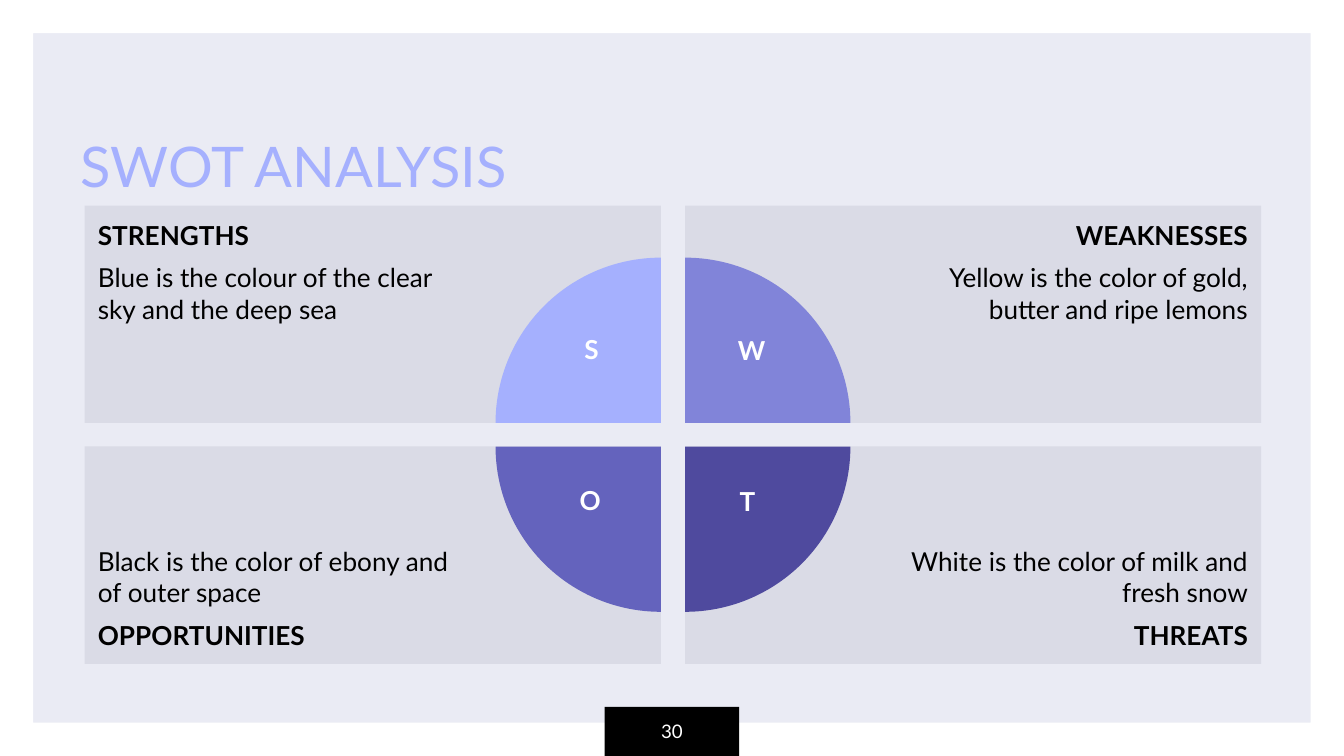
import pptx
import pptx.dml.color
import pptx.enum.shapes
import pptx.enum.text
import pptx.util

SHAPE = pptx.enum.shapes.MSO_SHAPE
ALIGN = pptx.enum.text.PP_ALIGN
ANCHOR = pptx.enum.text.MSO_ANCHOR

# Grid of square cells: 100 columns by 56.25 rows on a 16:9 page
COLUMNS, ROWS = 100, 56.25
CELL = pptx.util.Inches(10) / COLUMNS
FONT = "Lato"
INSET, WIDE_INSET = 1, 15
GAP_X, GAP_Y = 1.8, 1.75
RADIUS = 12.3

# heading, sentence, letter, letter offset from the inner corner, sector colour
QUADRANTS = [
    ("STRENGTHS", "Blue is the colour of the clear sky and the deep sea",
     "S", (-5.15, -4.85), "A5B0FE"),
    ("WEAKNESSES", "Yellow is the color of gold, butter and ripe lemons",
     "W", (4.95, -4.8), "8184D9"),
    ("OPPORTUNITIES", "Black is the color of ebony and of outer space",
     "O", (-5.25, 4.65), "6463BD"),
    ("THREATS", "White is the color of milk and fresh snow",
     "T", (4.65, 4.7), "4F4A9E"),
]


def cells(count):
    return pptx.util.Emu(round(count * CELL))


def colour(value):
    return pptx.dml.color.RGBColor.from_string(value)


def add_block(page, kind, box, fill):
    shape = page.shapes.add_shape(kind, *map(cells, box))
    shape.shadow.inherit = False
    shape.fill.solid()
    shape.fill.fore_color.rgb = colour(fill)
    shape.line.fill.background()
    return shape


def set_frame(shape, anchor, left=INSET, top=INSET, right=INSET, bottom=INSET):
    frame = shape.text_frame
    frame.word_wrap = True
    frame.vertical_anchor = anchor
    frame.margin_left, frame.margin_top = cells(left), cells(top)
    frame.margin_right, frame.margin_bottom = cells(right), cells(bottom)
    return frame


def write(para, text, size, ink, align=ALIGN.LEFT, bold=False):
    para.alignment = align
    span = para.add_run()
    span.text = text
    span.font.name = FONT
    span.font.size = pptx.util.Pt(size)
    span.font.bold = bold
    span.font.color.rgb = colour(ink)


def add_backdrop(page, box):
    page.background.fill.solid()
    page.background.fill.fore_color.rgb = colour("EAEBF4")
    border = add_block(page, SHAPE.FRAME, box, "FFFFFF")
    border.adjustments[0] = 0.044


def add_title(page, box):
    frame = set_frame(page.shapes.add_textbox(*map(cells, box)), ANCHOR.BOTTOM)
    write(frame.paragraphs[0], "SWOT ANALYSIS", 30, "A5B0FE")


def add_page_number(page, box):
    add_block(page, SHAPE.RECTANGLE, box, "000000")
    label = page.shapes.add_textbox(*map(cells, box))
    frame = set_frame(label, ANCHOR.MIDDLE)
    write(frame.paragraphs[0], "30", 10, "FFFFFF", ALIGN.CENTER)


def add_panel(page, box, heading, sentence, on_right, on_bottom):
    panel = add_block(page, SHAPE.RECTANGLE, box, "DADBE6")
    frame = set_frame(panel, ANCHOR.BOTTOM if on_bottom else ANCHOR.TOP,
                      left=WIDE_INSET if on_right else INSET,
                      right=INSET if on_right else WIDE_INSET)
    align = ALIGN.RIGHT if on_right else ALIGN.LEFT
    lines = [(heading, True), (sentence, False)]
    if on_bottom:
        lines.reverse()  # headings sit on the outer edge
    for index, (text, bold) in enumerate(lines):
        para = frame.add_paragraph() if index else frame.paragraphs[0]
        write(para, text, 14, "000000", align, bold)
        if index:
            para.space_before = para.space_after = pptx.util.Pt(6)


def add_sector(page, corner, fill, turn):
    x, y = corner
    box = (x - RADIUS, y - RADIUS, 2 * RADIUS, 2 * RADIUS)
    sector = add_block(page, SHAPE.PIE, box, fill)
    sector.adjustments[0], sector.adjustments[1] = 108, 162
    sector.rotation = turn


def add_letter(page, corner, offset, letter):
    width, height = 6, 4.6
    x, y = corner[0] + offset[0], corner[1] + offset[1]
    box = (x - width / 2, y - height / 2, width, height)
    label = page.shapes.add_textbox(*map(cells, box))
    frame = set_frame(label, ANCHOR.TOP, top=0.5, bottom=0.5)
    write(frame.paragraphs[0], letter, 14, "FFFFFF", ALIGN.CENTER, True)


def add_swot(page, box):
    left, top, width, height = box
    panel_width, panel_height = (width - GAP_X) / 2, (height - GAP_Y) / 2
    turns = [0, 90, 270, 180]
    corners = []

    # Four panels; each sector is centred on its panel's inner corner
    for index, (heading, sentence, *_) in enumerate(QUADRANTS):
        row, column = divmod(index, 2)
        x = left + column * (panel_width + GAP_X)
        y = top + row * (panel_height + GAP_Y)
        add_panel(page, (x, y, panel_width, panel_height),
                  heading, sentence, column == 1, row == 1)
        corners.append((x + (1 - column) * panel_width,
                        y + (1 - row) * panel_height))

    # Quarter circles, then their letters
    for corner, turn, quadrant in zip(corners, turns, QUADRANTS):
        add_sector(page, corner, quadrant[4], turn)
    for corner, quadrant in zip(corners, QUADRANTS):
        add_letter(page, corner, quadrant[3], quadrant[2])


def main():
    deck = pptx.Presentation()
    deck.slide_width, deck.slide_height = cells(COLUMNS), cells(ROWS)
    page = deck.slides.add_slide(deck.slide_layouts[6])
    add_backdrop(page, (0, 0, COLUMNS, ROWS))
    add_title(page, (5, 6.4, 56.2, 9.4))
    add_page_number(page, (45, 52.6, 10, 3.65))
    add_swot(page, (6.3, 15.3, 87.55, 34.1))
    deck.save("out.pptx")


if __name__ == "__main__":
    main()
